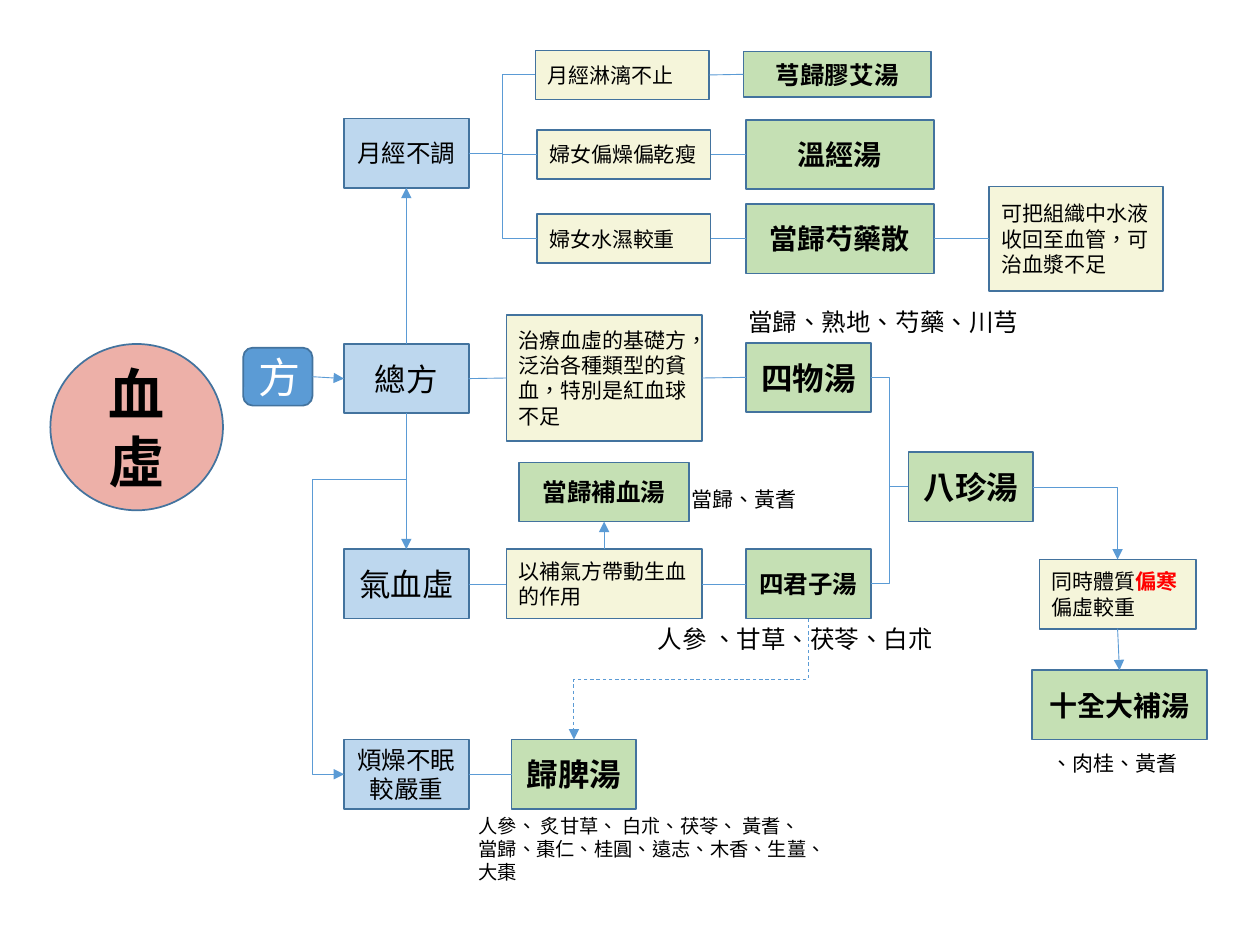
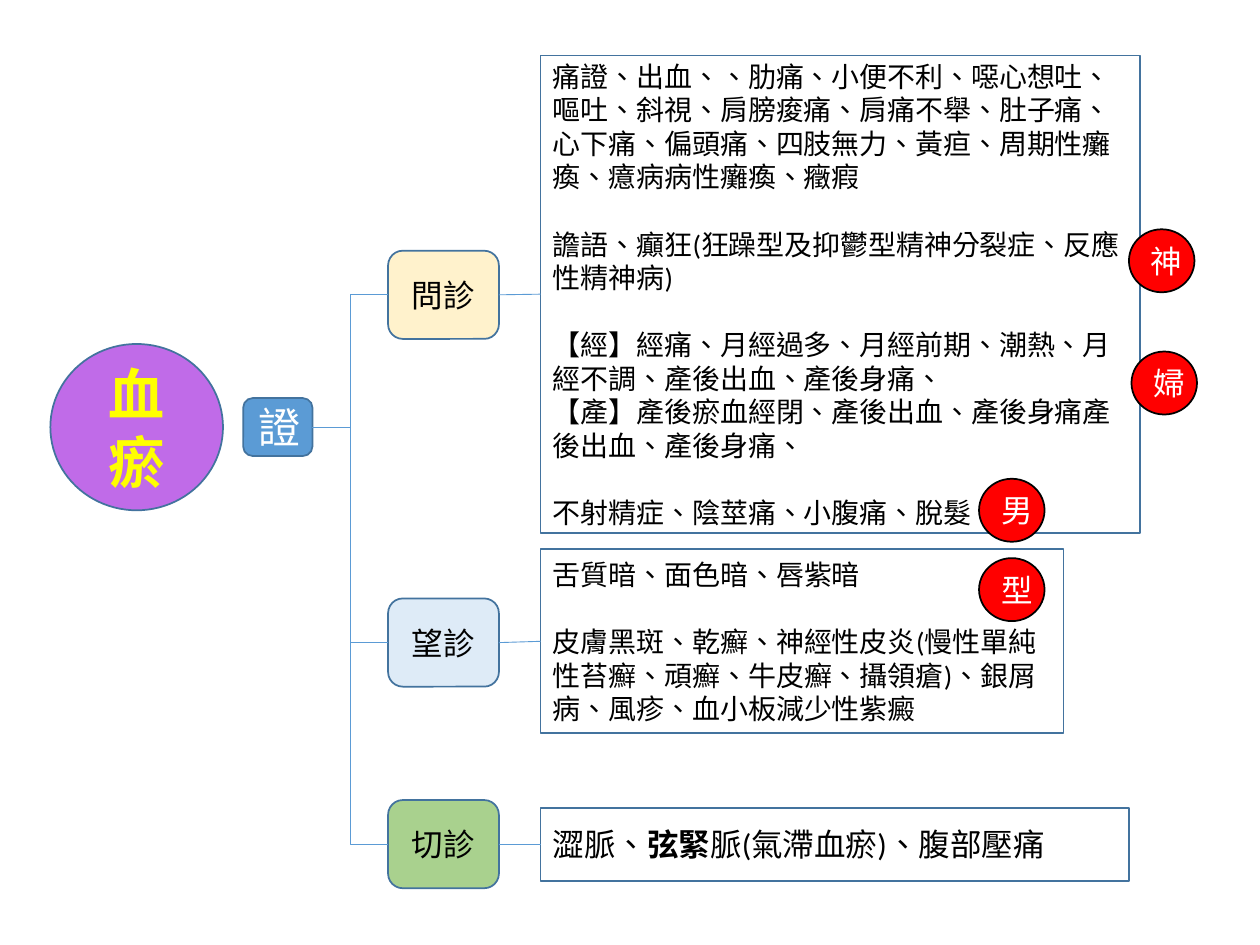
"""Build two mind-map slides on blood deficiency and blood stasis."""
from lxml import etree
from pptx import Presentation
from pptx.dml.color import RGBColor
from pptx.enum.dml import MSO_LINE
from pptx.enum.shapes import MSO_CONNECTOR, MSO_SHAPE
from pptx.enum.text import MSO_ANCHOR, MSO_AUTO_SIZE, PP_ALIGN
from pptx.oxml.ns import qn
from pptx.util import Pt

SCALE = 9144
RECTANGLE, ROUNDED, OVAL = MSO_SHAPE.RECTANGLE, MSO_SHAPE.ROUNDED_RECTANGLE, MSO_SHAPE.OVAL
STRAIGHT, ELBOW = MSO_CONNECTOR.STRAIGHT, MSO_CONNECTOR.ELBOW
LEFT, CENTER, MIDDLE = PP_ALIGN.LEFT, PP_ALIGN.CENTER, MSO_ANCHOR.MIDDLE
DASH, FIT = MSO_LINE.DASH, MSO_AUTO_SIZE.SHAPE_TO_FIT_TEXT

BODY_FONT, CJK_FONT = "Calibri", "Noto Sans CJK SC"
BLACK, WHITE, RED, YELLOW = "000000", "FFFFFF", "FF0000", "FFFF00"
BLUE, OUTLINE, PATTERN, NOTE, FORMULA = "5B9BD5", "43739E", "BDD7EE", "F5F5DA", "C5E0B4"
LINE_HEIGHT = 1.2
SIDES = {"top": (0.5, 0), "left": (0, 0.5), "bottom": (0.5, 1), "right": (1, 0.5)}


def color(value):
    return RGBColor.from_string(value)


def px(value):
    return round(value * SCALE)


def anchor(shape, side):
    """Return the middle of one side of a shape, in EMU."""
    across, down = SIDES[side]
    return round(shape.left + across * shape.width), round(shape.top + down * shape.height)


class Diagram:
    """Hold the shared style and the slide being drawn."""

    def __init__(self):
        self.presentation = Presentation()
        self.presentation.slide_width, self.presentation.slide_height = px(1000), px(750)
        self.slide = None

    def new_slide(self):
        self.slide = self.presentation.slides.add_slide(self.presentation.slide_layouts[6])

    def add_run(self, paragraph, text, ink, **formats):
        run = paragraph.add_run()
        run.text = text
        for name, value in formats.items():
            setattr(run.font, name, value)
        run.font.color.rgb = color(ink)
        properties = run.font._element
        properties.set("lang", "zh-TW")
        etree.SubElement(properties, qn("a:ea")).set("typeface", CJK_FONT)

    def fill_text(self, frame, text, size, align=LEFT, ink=BLACK, bold=False, accent=None):
        """Set lines as paragraphs; an empty line becomes space before the next one."""
        formats = {"name": CJK_FONT if bold else BODY_FONT, "size": Pt(size), "bold": bold}
        accent_text, accent_ink = accent or (None, ink)
        gap, paragraph = 0, None
        for line in text.split("\n"):
            if not line:
                gap = Pt(size * LINE_HEIGHT)
                continue
            paragraph = frame.add_paragraph() if paragraph else frame.paragraphs[0]
            layout = {"alignment": align, "line_spacing": Pt(size * LINE_HEIGHT),
                      "space_before": gap}
            for name, value in layout.items():
                setattr(paragraph, name, value)
            gap = 0
            parts = line.partition(accent_text) if accent else (line,)
            for part in filter(None, parts):
                if part == accent_text:
                    self.add_run(paragraph, part, accent_ink, **{**formats, "bold": True})
                else:
                    self.add_run(paragraph, part, ink, **formats)

    def node(self, box, text, fill, size, kind=RECTANGLE, outline=OUTLINE, align=CENTER, **style):
        shape = self.slide.shapes.add_shape(kind, *map(px, box))
        shape.shadow.inherit = False
        shape.fill.solid()
        shape.fill.fore_color.rgb = color(fill)
        shape.line.color.rgb = color(outline)
        shape.line.width = Pt(1)
        shape.text_frame.word_wrap = True
        shape.text_frame.vertical_anchor = MIDDLE
        self.fill_text(shape.text_frame, text, size, align, **style)
        return shape

    def title(self, text, fill, ink=BLACK):
        self.node((40, 273, 137, 132), text, fill, 32, OVAL, ink=ink, bold=True)

    def hub(self, top, text):
        return self.node((193, top, 55, 46), text, BLUE, 24, ROUNDED, ink=WHITE)

    def pattern(self, top, text, size):
        return self.node((273, top, 99, 55), text, PATTERN, size)

    def note(self, box, text, fill=NOTE, size=12, **style):
        return self.node(box, text, fill, size, align=LEFT, **style)

    def formula(self, box, text, size):
        return self.node(box, text, FORMULA, size, bold=True)

    def badge(self, left, top, text):
        self.node((left, top, 52, 50), text, RED, 18, OVAL, BLACK, ink=WHITE)

    def label(self, box, text, size, wrap=False):
        frame = self.slide.shapes.add_textbox(*map(px, box)).text_frame
        frame.word_wrap = wrap
        frame.auto_size = FIT
        self.fill_text(frame, text, size)

    def finish(self, connector, arrow, dash=None):
        connector.line.color.rgb = color(BLUE)
        connector.line.width = Pt(0.5)
        if dash:
            connector.line.dash_style = dash
        if arrow:
            line = connector.line._get_or_add_ln()
            etree.SubElement(line, qn("a:tailEnd")).set("type", "triangle")
        etree.SubElement(connector._element.spPr, qn("a:effectLst"))

    def link(self, start, end, sides=("right", "left"), kind=STRAIGHT, arrow=False, preset=None):
        points = anchor(start, sides[0]) + anchor(end, sides[1])
        connector = self.slide.shapes.add_connector(kind, *points)
        if preset:
            connector._element.spPr.find(qn("a:prstGeom")).set("prst", preset)
        self.finish(connector, arrow)

    def drop(self, start, end, side="top", preset="bentConnector3", bends=(50000,), dash=None):
        """Draw a bent arrow that leaves downwards and ends at the lower left."""
        (right, top), (left, bottom) = anchor(start, "bottom"), anchor(end, side)
        run, rise = bottom - top, right - left
        x, y = (left + right - run) // 2, (top + bottom - rise) // 2
        connector = self.slide.shapes.add_connector(ELBOW, x, y, x + run, y + rise)
        properties = connector._element.spPr
        properties.find(qn("a:xfrm")).set("rot", "5400000")
        geometry = properties.find(qn("a:prstGeom"))
        geometry.set("prst", preset)
        guides = geometry.find(qn("a:avLst"))
        for number, bend in enumerate(bends, 1):
            guide = etree.SubElement(guides, qn("a:gd"))
            guide.set("name", f"adj{number}")
            guide.set("fmla", f"val {bend}")
        self.finish(connector, True, dash)


def draw_deficiency(diagram):
    diagram.new_slide()
    diagram.title("血虛", "EDB0A8")
    hub = diagram.hub(276, "方")
    general = diagram.pattern(273, "總方", 18)
    qi_blood = diagram.pattern(436, "氣血虛", 18)
    sleepless = diagram.pattern(587, "煩燥不眠較嚴重", 14)
    menses = diagram.pattern(94, "月經不調", 14)

    base = diagram.note((402, 250, 155, 100), "治療血虛的基礎方，泛治各種類型的貧血，特別是紅血球不足")
    qi_note = diagram.note((402, 436, 155, 55), "以補氣方帶動生血的作用")
    cold = diagram.note((825, 444, 124, 55), "同時體質偏寒偏虛較重", accent=("偏寒", RED))
    fluid = diagram.note((785, 148, 138, 83), "可把組織中水液收回至血管，可治血漿不足")

    four_things = diagram.formula((592, 272, 99, 55), "四物湯", 18)
    four_gentlemen = diagram.formula((592, 436, 99, 55), "四君子湯", 14)
    eight = diagram.formula((721, 359, 99, 55), "八珍湯", 18)
    spleen = diagram.formula((406, 587, 99, 55), "歸脾湯", 18)
    ten = diagram.formula((819, 532, 139, 55), "十全大補湯", 16)
    angelica = diagram.formula((412, 367, 135, 47), "當歸補血湯", 14)

    branches = [
        ((425, 40, 138, 39), "月經淋漓不止", (590, 41, 149, 36), "芎歸膠艾湯", 14),
        ((426, 103, 138, 39), "婦女偏燥偏乾瘦", (592, 95, 149, 55), "溫經湯", 16),
        ((426, 170, 138, 39), "婦女水濕較重", (592, 162, 149, 55), "當歸芍藥散", 16),
    ]
    for note_box, note_text, formula_box, formula_text, size in branches:
        note = diagram.note(note_box, note_text)
        remedy = diagram.formula(formula_box, formula_text, size)
        diagram.link(menses, note, kind=ELBOW)
        diagram.link(note, remedy)
    diagram.link(remedy, fluid)

    for start, end in [(general, base), (base, four_things), (qi_blood, qi_note),
                       (qi_note, four_gentlemen), (sleepless, spleen)]:
        diagram.link(start, end)
    for start in (four_things, four_gentlemen):
        diagram.link(start, eight, kind=ELBOW)
    diagram.link(hub, general, arrow=True)
    for start, end in [(general, menses), (qi_note, angelica)]:
        diagram.link(start, end, ("top", "bottom"), arrow=True)
    for start, end in [(general, qi_blood), (cold, ten)]:
        diagram.link(start, end, ("bottom", "top"), arrow=True)
    diagram.link(eight, cold, ("right", "top"), ELBOW, True, "bentConnector2")
    diagram.drop(general, sleepless, "left", "bentConnector4", (18300, 150300))
    diagram.drop(four_gentlemen, spleen, dash=DASH)

    diagram.label((584, 239, 236, 34), "當歸、熟地、芍藥、川芎", 14)
    diagram.label((512, 490, 241, 34), "人參 、甘草、茯苓、白朮", 14)
    diagram.label((539, 381, 104, 30), "當歸、黃耆", 12)
    diagram.label((825, 591, 121, 30), "、肉桂、黃耆", 12)
    diagram.label((370, 641, 314, 66), "人參、 炙甘草、 白朮、茯苓、 黃耆、\n"
                  "當歸、棗仁、桂圓、遠志、木香、生薑、\n大棗", 11, wrap=True)


def draw_stasis(diagram):
    diagram.new_slide()
    diagram.title("血瘀", "C06BE8", YELLOW)
    hub = diagram.hub(316, "證")
    inquiry = (
        "痛證、出血、、肋痛、小便不利、噁心想吐、嘔吐、斜視、肩膀痠痛、肩痛不舉、肚子痛、"
        "心下痛、偏頭痛、四肢無力、黃疸、周期性癱瘓、癔病病性癱瘓、癥瘕\n\n"
        "譫語、癲狂(狂躁型及抑鬱型精神分裂症、反應性精神病)\n\n"
        "【經】經痛、月經過多、月經前期、潮熱、月經不調、產後出血、產後身痛、\n"
        "【產】產後瘀血經閉、產後出血、產後身痛產後出血、產後身痛、\n\n"
        "不射精症、陰莖痛、小腹痛、脫髮")
    inspection = ("舌質暗、面色暗、唇紫暗\n\n"
                  "皮膚黑斑、乾癬、神經性皮炎(慢性單純性苔癬、頑癬、牛皮癬、攝領瘡)、"
                  "銀屑病、風疹、血小板減少性紫癜")
    palpation = "澀脈、弦緊脈(氣滯血瘀)、腹部壓痛"
    exams = [
        (199, "問診", "FFF2CC", (429, 44, 476, 379), inquiry, 16, None),
        (475, "望診", "DEEBF7", (429, 436, 415, 146), inspection, 16, None),
        (635, "切診", "A9D18E", (429, 641, 467, 58), palpation, 18, ("弦緊", BLACK)),
    ]
    for top, name, fill, box, findings, size, accent in exams:
        exam = diagram.node((308, top, 88, 70), name, fill, 18, ROUNDED)
        detail = diagram.note(box, findings, WHITE, size, accent=accent)
        diagram.link(hub, exam, kind=ELBOW)
        diagram.link(exam, detail)
    for left, top, text in [(777, 443, "型"), (896, 182, "神"), (898, 279, "婦"), (777, 380, "男")]:
        diagram.badge(left, top, text)


def main():
    diagram = Diagram()
    draw_deficiency(diagram)
    draw_stasis(diagram)
    diagram.presentation.save("out.pptx")


if __name__ == "__main__":
    main()
